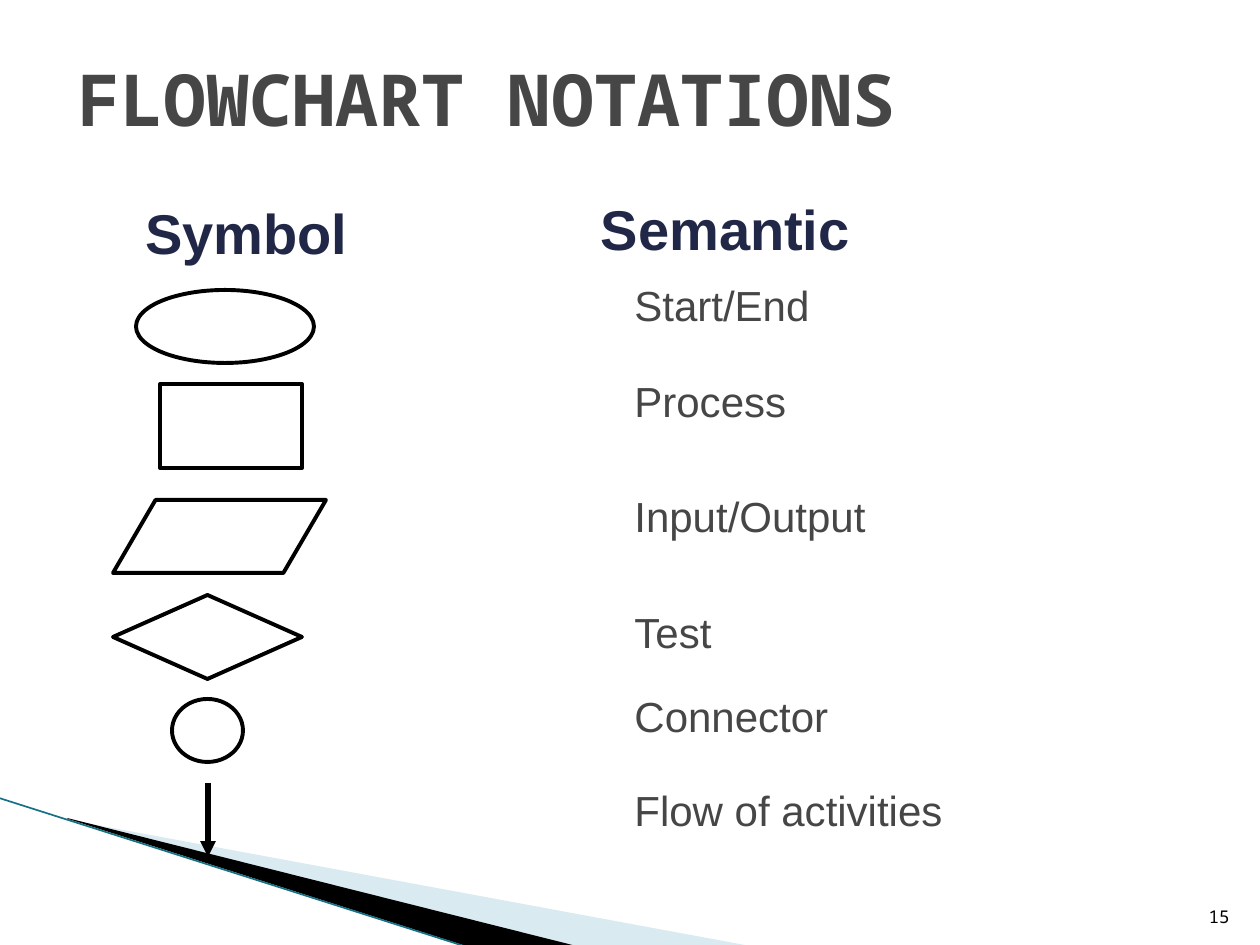
from pptx import Presentation, util as u
from pptx.dml.color import RGBColor
from pptx.enum import shapes, text
from pptx.oxml.ns import qn
from lxml import etree

BLACK = RGBColor(0, 0, 0)
WHITE = RGBColor(255, 255, 255)
GREY = RGBColor(0x46, 0x46, 0x46)
NAVY = RGBColor(0x21, 0x27, 0x47)
PALE_BLUE = RGBColor(0xA0, 0xCB, 0xDC)
TEAL = RGBColor(0x17, 0x70, 0x83)
SCALE = 914400 / 126
SANS, MONO = "Arial", "Noto Sans Mono"


def px(n):
    return round(n * SCALE)


class Deck:
    def __init__(self, width, height):
        self.prs = Presentation()
        self.prs.slide_width, self.prs.slide_height = px(width), px(height)
        self.s = self.prs.slides.add_slide(self.prs.slide_layouts[5])

    def put_text(self, sp, content, font, size, color, bold=False,
                 align=text.PP_ALIGN.LEFT, anchor=text.MSO_ANCHOR.TOP):
        tf = sp.text_frame
        tf.text = content
        tf.word_wrap = True
        tf.auto_size = text.MSO_AUTO_SIZE.NONE
        tf.vertical_anchor = anchor
        p = tf.paragraphs[0]
        p.alignment = align
        f = p.runs[0].font
        f.name, f.size, f.bold = font, u.Pt(size), bold
        f.color.rgb = color
        return p

    def title(self, content, x, y, w, h):
        sp = self.s.shapes.title
        sp.left, sp.top, sp.width, sp.height = map(px, (x, y, w, h))
        self.put_text(sp, content, MONO, 41, GREY, True,
                      anchor=text.MSO_ANCHOR.MIDDLE)

    def label(self, content, x, y, w, h, *style, **options):
        sp = self.s.shapes.add_textbox(*map(px, (x, y, w, h)))
        return self.put_text(sp, content, *style, **options)

    def symbol(self, kind, x, y, w, h):
        sp = self.s.shapes.add_shape(kind, *map(px, (x, y, w, h)))
        sp.shadow.inherit = False
        sp.fill.solid()
        sp.fill.fore_color.rgb = WHITE
        sp.line.color.rgb = BLACK
        sp.line.width = u.Pt(2.25)

    def wedge(self, points, color, opacity=100):
        builder = self.s.shapes.build_freeform(*points[0], scale=SCALE)
        builder.add_line_segments(points[1:], close=True)
        sp = builder.convert_to_shape()
        sp.shadow.inherit = False
        sp.line.fill.background()
        sp.fill.solid()
        sp.fill.fore_color.rgb = color
        if opacity < 100:
            clr = sp.element.spPr.find(qn("a:solidFill"))[0]
            etree.SubElement(clr, qn("a:alpha"), val=str(opacity * 1000))

    def line(self, x1, y1, x2, y2, color, width, arrow=False):
        c = self.s.shapes.add_connector(
            shapes.MSO_CONNECTOR.STRAIGHT, *map(px, (x1, y1, x2, y2)))
        c.line.color.rgb = color
        c.line.width = u.Pt(width)
        if arrow:
            ln = c.element.spPr.find(qn("a:ln"))
            etree.SubElement(ln, qn("a:tailEnd"), type="triangle")
        etree.SubElement(c.element.spPr, qn("a:effectLst"))


deck = Deck(1260, 945)
deck.wedge([(69, 820), (750, 946), (575, 946), (69, 819)], PALE_BLUE, 40)
deck.wedge([(67, 818), (576, 946), (469, 947), (68, 819)], BLACK)
deck.line(-1, 798, 467, 947, TEAL, 0.95)
deck.label("15", 1192, 883, 50, 50, MONO, 10, BLACK,
           align=text.PP_ALIGN.RIGHT, anchor=text.MSO_ANCHOR.BOTTOM)
deck.title("FLOWCHART NOTATIONS", 65, 45, 1128, 105)

for heading, x, y, w in (("Symbol", 98, 202, 297), ("Semantic", 530, 198, 391)):
    p = deck.label(heading, x, y, w, 72, SANS, 32, NAVY, True,
                   align=text.PP_ALIGN.CENTER)
    p.line_spacing = 0.87

KIND = shapes.MSO_SHAPE
NOTATIONS = [
    ("Start/End", 280, KIND.OVAL, (136, 290, 178, 73)),
    ("Process", 376, KIND.FLOWCHART_PROCESS, (160, 384, 142, 84)),
    ("Input/Output", 491, KIND.FLOWCHART_DATA, (113, 500, 213, 73)),
    ("Test", 607, KIND.FLOWCHART_DECISION, (113, 595, 189, 84)),
    ("Connector", 691, KIND.FLOWCHART_CONNECTOR, (172, 699, 71, 63)),
    ("Flow of activities", 785, None, (208, 783, 208, 857)),
]
for meaning, top, kind, place in NOTATIONS:
    if kind is None:
        deck.line(*place, BLACK, 3, arrow=True)
    else:
        deck.symbol(kind, *place)
    p = deck.label(meaning, 622, top, 450, 57, SANS, 24, GREY)
    p.line_spacing = 0.87

deck.prs.save("out.pptx")
